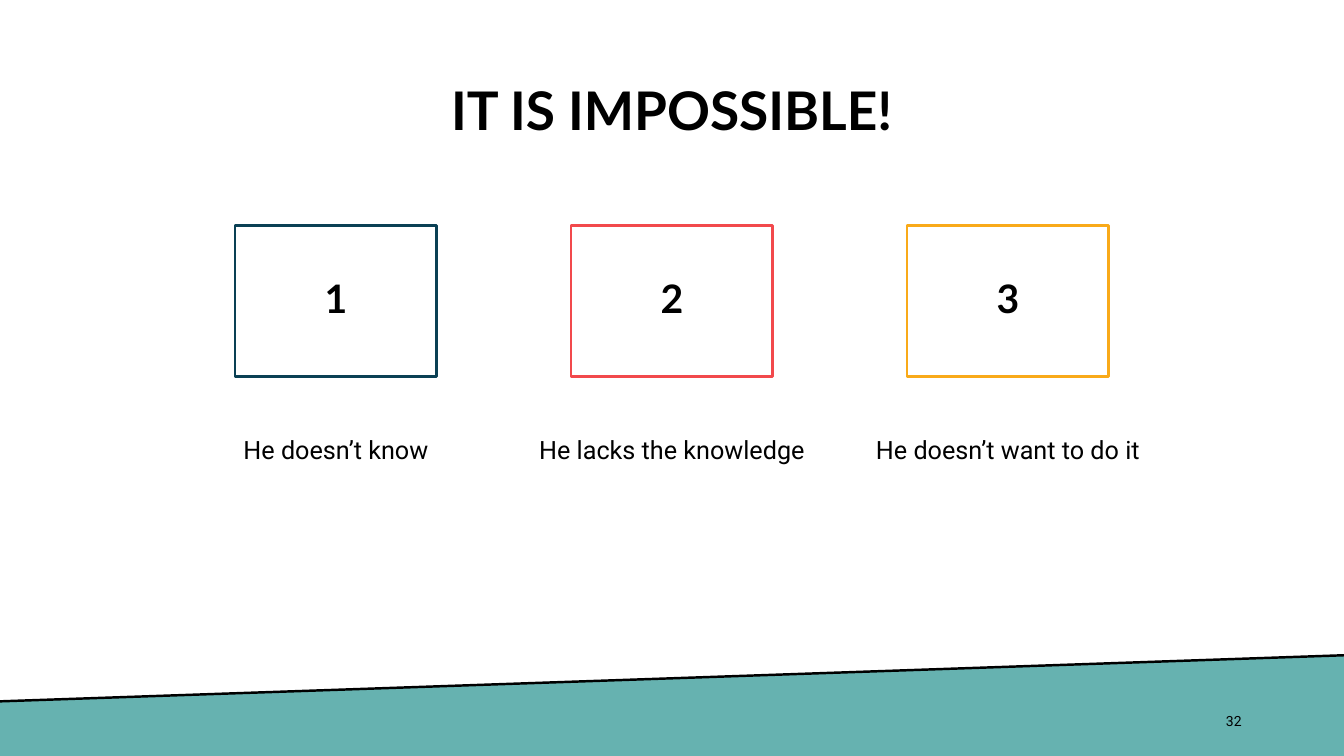
import pptx
import pptx.dml.color
import pptx.enum.shapes
import pptx.enum.text
import pptx.oxml
import pptx.util
from dataclasses import dataclass

Pt = pptx.util.Pt
RGB = pptx.dml.color.RGBColor.from_string
ALIGN = pptx.enum.text.PP_ALIGN
ANCHOR = pptx.enum.text.MSO_ANCHOR


@dataclass(frozen=True)
class Theme:
    heading: str = "Lato"
    body: str = "Roboto"
    ink: str = "000000"
    ground: str = "66B2B0"
    navy: str = "0A4054"
    red: str = "F2494C"
    amber: str = "F9AA19"
    title_size: int = 38
    number_size: int = 28
    caption_size: int = 18
    page_size: int = 10
    line: float = 1.75


THEME = Theme()
WIDTH, HEIGHT = 960, 540
COLUMN_PITCH = 240
BOX_TOP, BOX_WIDTH, BOX_HEIGHT = 161, 144, 108
CAPTION_TOP, CAPTION_WIDTH, CAPTION_HEIGHT = 304, 216, 126
SLOPE_START, SLOPE_END = (-1, 501), (961, 468)


def write(sp, text, font, size, bold=False, align=ALIGN.CENTER,
          anchor=ANCHOR.MIDDLE, spacing=0.9):
    tf = sp.text_frame
    tf.word_wrap = True
    tf.vertical_anchor = anchor
    tf.text = text
    p = tf.paragraphs[0]
    p.alignment = align
    p.line_spacing = spacing
    r = p.runs[0]
    r.font.name = font
    r.font.size = Pt(size)
    r.font.bold = bold
    r.font.color.rgb = RGB(THEME.ink)


def add_text(slide, left, top, width, height, text, font, size, **style):
    sp = slide.shapes.add_textbox(Pt(left), Pt(top), Pt(width), Pt(height))
    write(sp, text, font, size, **style)


def add_number_box(slide, center, number, color):
    sp = slide.shapes.add_shape(
        pptx.enum.shapes.MSO_SHAPE.RECTANGLE,
        Pt(center - BOX_WIDTH / 2), Pt(BOX_TOP), Pt(BOX_WIDTH), Pt(BOX_HEIGHT))
    sp.shadow.inherit = False
    sp.fill.background()
    sp.line.color.rgb = RGB(color)
    sp.line.width = Pt(THEME.line)
    write(sp, str(number), THEME.heading, THEME.number_size, bold=True)


def add_ground(slide):
    points = [SLOPE_START, SLOPE_END, (SLOPE_END[0], HEIGHT), (0, HEIGHT + 2)]
    start, *rest = [(Pt(x), Pt(y)) for x, y in points]
    builder = slide.shapes.build_freeform(*start)
    builder.add_line_segments(rest)
    sp = builder.convert_to_shape()
    sp.shadow.inherit = False
    sp.fill.solid()
    sp.fill.fore_color.rgb = RGB(THEME.ground)
    sp.line.fill.background()


def add_slope_line(slide):
    line = slide.shapes.add_connector(
        pptx.enum.shapes.MSO_CONNECTOR.STRAIGHT,
        *[Pt(v) for v in SLOPE_END + SLOPE_START])
    line.line.color.rgb = RGB(THEME.ink)
    line.line.width = Pt(THEME.line)
    line._element.spPr.append(pptx.oxml.parse_xml(
        '<a:effectLst xmlns:a="http://schemas.openxmlformats.org/drawingml/2006/main"/>'))


def main():
    prs = pptx.Presentation()
    prs.slide_width, prs.slide_height = Pt(WIDTH), Pt(HEIGHT)
    slide = prs.slides.add_slide(prs.slide_layouts[6])

    add_ground(slide)
    add_slope_line(slide)
    add_text(slide, 66, 29, 828, 104, "IT IS IMPOSSIBLE!",
             THEME.heading, THEME.title_size, bold=True)
    add_text(slide, 678, 500.5, 216, 29, "32", THEME.body, THEME.page_size,
             align=ALIGN.RIGHT, spacing=1.0)

    reasons = [
        ("He doesn’t know", THEME.navy),
        ("He lacks the knowledge", THEME.red),
        ("He doesn’t want to do it", THEME.amber),
    ]
    for number, (caption, color) in enumerate(reasons, start=1):
        center = number * COLUMN_PITCH
        add_number_box(slide, center, number, color)
        add_text(slide, center - CAPTION_WIDTH / 2, CAPTION_TOP,
                 CAPTION_WIDTH, CAPTION_HEIGHT, caption,
                 THEME.body, THEME.caption_size,
                 anchor=ANCHOR.TOP, spacing=Pt(24))

    prs.save("out.pptx")


if __name__ == "__main__":
    main()
